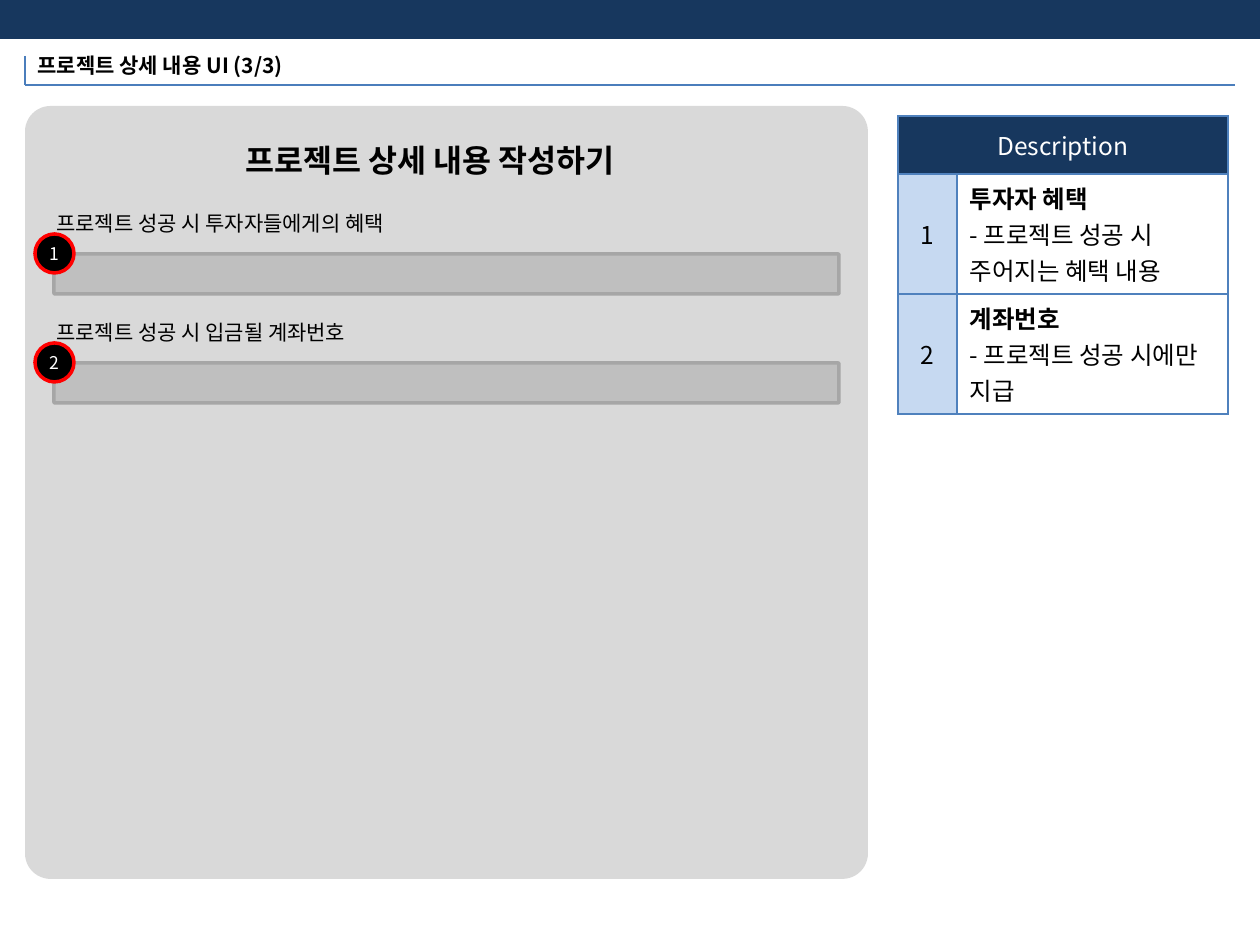
from pptx import Presentation
from pptx.dml.color import RGBColor
from pptx.enum.shapes import MSO_CONNECTOR, MSO_SHAPE as Shape
from pptx.enum.text import MSO_ANCHOR as Anchor, MSO_AUTO_SIZE as AutoSize, PP_ALIGN as Align
from pptx.oxml.ns import qn
from pptx.util import Emu, Pt
from lxml.etree import SubElement

FONT = "Noto Sans CJK KR"
PIXEL = 914400 // 126
NAVY = RGBColor(0x17, 0x37, 0x5E)
BLUE = RGBColor(0x4F, 0x81, 0xBD)
RULE_BLUE = RGBColor(0x4B, 0x7E, 0xBC)
PALE_BLUE = RGBColor(0xC6, 0xD9, 0xF1)
PANEL_GRAY = RGBColor(0xD9, 0xD9, 0xD9)
FIELD_GRAY = RGBColor(0xBF, 0xBF, 0xBF)
EDGE_GRAY = RGBColor(0xA6, 0xA6, 0xA6)
RED = RGBColor(0xFF, 0, 0)
BLACK = RGBColor(0, 0, 0)
WHITE = RGBColor(0xFF, 0xFF, 0xFF)


def px(*lengths):
    return [Emu(length * PIXEL) for length in lengths]


class SlideBuilder:
    def __init__(self, slide):
        self.slide = slide

    def format_text(self, paragraph, size, color=BLACK, bold=False, align=Align.LEFT):
        paragraph.alignment = align
        for run in paragraph.runs:
            font = run.font
            font.name, font.size, font.bold = FONT, Pt(size), bold
            font.color.rgb = color
            SubElement(run._r.get_or_add_rPr(), qn("a:ea")).set("typeface", FONT)

    def fill_frame(self, frame, text, size, bold=False):
        frame.text = text
        frame.word_wrap = False
        frame.auto_size = AutoSize.NONE
        frame.vertical_anchor = Anchor.TOP
        self.format_text(frame.paragraphs[0], size, bold=bold)

    def title(self, box, text, size):
        title = self.slide.shapes.title
        title.left, title.top, title.width, title.height = px(*box)
        self.fill_frame(title.text_frame, text, size, bold=True)

    def text(self, box, text, size, bold=False):
        shape = self.slide.shapes.add_textbox(*px(*box))
        self.fill_frame(shape.text_frame, text, size, bold)

    def shape(self, kind, box, fill, line=None, rounding=None):
        shape = self.slide.shapes.add_shape(kind, *px(*box))
        shape.shadow.inherit = False
        shape.fill.solid()
        shape.fill.fore_color.rgb = fill
        if line is None:
            shape.line.fill.background()
        else:
            shape.line.color.rgb = line
            shape.line.width = Pt(2)
        if rounding is not None:
            shape.adjustments[0] = rounding
        return shape

    def badge(self, box, text):
        frame = self.shape(Shape.OVAL, box, BLACK, RED).text_frame
        frame.margin_left = frame.margin_right = frame.margin_top = frame.margin_bottom = 0
        frame.word_wrap = False
        frame.vertical_anchor = Anchor.MIDDLE
        frame.text = text
        self.format_text(frame.paragraphs[0], 10, WHITE, align=Align.CENTER)

    def rule(self, *ends):
        line = self.slide.shapes.add_connector(MSO_CONNECTOR.STRAIGHT, *px(*ends))
        line.line.color.rgb = RULE_BLUE
        line.line.width = Pt(0.75)
        SubElement(line._element.spPr, qn("a:effectLst"))

    def cell(self, cell, lines, fill, color=BLACK, align=Align.LEFT, bold_first=False):
        cell.text = "\n".join(lines)
        cell.vertical_anchor = Anchor.MIDDLE
        for index, paragraph in enumerate(cell.text_frame.paragraphs):
            self.format_text(paragraph, 14, color, bold_first and index == 0, align)

        # Borders come before the fill in the cell properties
        properties = cell._tc.get_or_add_tcPr()
        for side in ("a:lnL", "a:lnR", "a:lnT", "a:lnB"):
            border = SubElement(properties, qn(side), w=str(Pt(1)))
            solid = SubElement(border, qn("a:solidFill"))
            SubElement(solid, qn("a:srgbClr"), val=str(BLUE))
        cell.fill.solid()
        cell.fill.fore_color.rgb = fill

    def description_table(self, left, top, widths, heights, heading, entries):
        frame = self.slide.shapes.add_table(
            len(heights), len(widths), *px(left, top, sum(widths), sum(heights)))
        table = frame.table
        for column, width in zip(table.columns, px(*widths)):
            column.width = width
        for row, height in zip(table.rows, px(*heights)):
            row.height = height
        table.cell(0, 0).merge(table.cell(0, 1))
        self.cell(table.cell(0, 0), [heading], NAVY, WHITE, Align.CENTER)
        self.cell(table.cell(0, 1), [], NAVY)
        for number, lines in enumerate(entries, 1):
            self.cell(table.cell(number, 0), [str(number)], PALE_BLUE, align=Align.CENTER)
            self.cell(table.cell(number, 1), lines, WHITE, bold_first=True)


presentation = Presentation()
presentation.slide_width, presentation.slide_height = px(1260, 945)
builder = SlideBuilder(presentation.slides.add_slide(presentation.slide_layouts[5]))

# Header
builder.shape(Shape.RECTANGLE, (0, 0, 1260, 37), NAVY, NAVY)
builder.rule(25, 56, 25, 85)
builder.rule(25, 85, 1235, 85)
builder.title((25, 46, 296, 38), "프로젝트 상세 내용 UI (3/3)", 12)

# Description
builder.description_table(
    898, 116, (59, 271), (58, 120, 120), "Description",
    [("투자자 혜택", "- 프로젝트 성공 시 주어지는 혜택 내용"),
     ("계좌번호", "- 프로젝트 성공 시에만 지급")])

# Form panel
builder.shape(Shape.ROUNDED_RECTANGLE, (25, 106, 843, 773), PANEL_GRAY, rounding=0.033)
builder.text((233, 135, 441, 50), "프로젝트 상세 내용 작성하기", 18, bold=True)

# Numbered fields
FIELD_STEP = 109
fields = [("프로젝트 성공 시 투자자들에게의 혜택", 394),
          ("프로젝트 성공 시 입금될 계좌번호", 353)]
for index, (label, width) in enumerate(fields):
    top = 204 + index * FIELD_STEP
    builder.text((44, top, width, 38), label, 12)
    builder.shape(Shape.ROUNDED_RECTANGLE, (54, top + 50, 785, 40),
                  FIELD_GRAY, EDGE_GRAY, 0.027)
    builder.badge((35, top + 30, 39, 39), str(index + 1))

presentation.save("out.pptx")
